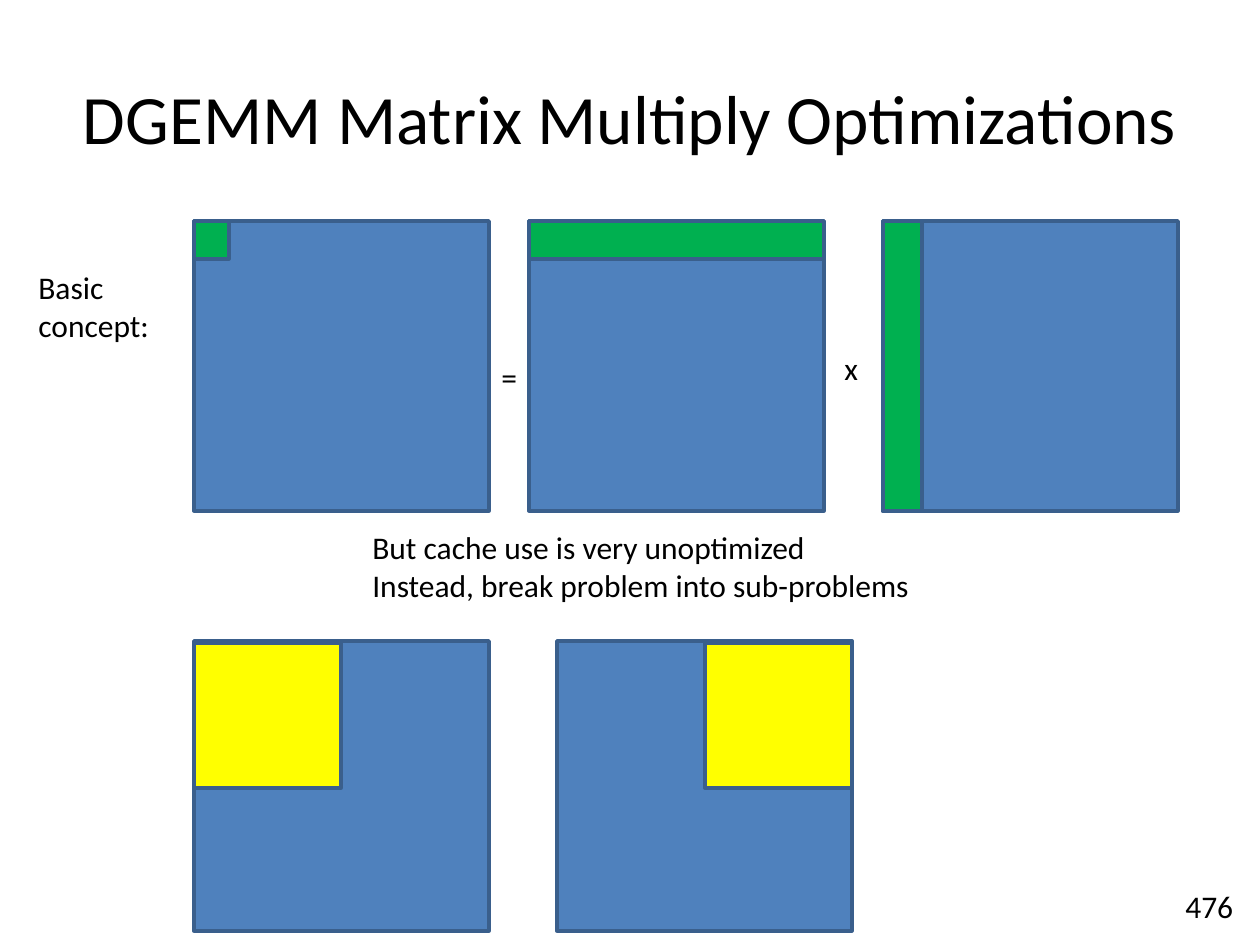
from pptx import Presentation
from pptx.dml.color import RGBColor
from pptx.enum.shapes import MSO_SHAPE
from pptx.enum.text import MSO_ANCHOR, MSO_AUTO_SIZE, PP_ALIGN
from pptx.util import Pt

EMU_PER_PX = 914400 / 126


def emu(px):
    return round(px * EMU_PER_PX)


def color(hex_string):
    return RGBColor.from_string(hex_string)


class MatrixSlide:
    """Holds the slide and the style shared by its elements."""

    FONT = "Calibri"
    INK = "000000"
    OUTLINE = "3A5F8C"
    MATRIX = "4F81BD"
    VECTOR = "00B050"
    BLOCK = "FFFF00"
    SIDE = (295, 290)

    def __init__(self, presentation):
        self.slide = presentation.slides.add_slide(presentation.slide_layouts[6])

    def rect(self, left, top, width, height, fill):
        shape = self.slide.shapes.add_shape(
            MSO_SHAPE.RECTANGLE, *map(emu, (left, top, width, height)))
        shape.shadow.inherit = False
        shape.fill.solid()
        shape.fill.fore_color.rgb = color(fill)
        shape.line.color.rgb = color(self.OUTLINE)
        shape.line.width = Pt(2)

    def matrix(self, left, top, part, part_fill, offset=(0, 0)):
        """Draw a full matrix with one highlighted part inside it."""
        self.rect(left, top, *self.SIDE, self.MATRIX)
        self.rect(left + offset[0], top + offset[1], *part, part_fill)

    def text(self, left, top, width, height, *lines, size=18, wrap=False,
             align=PP_ALIGN.LEFT, anchor=MSO_ANCHOR.TOP,
             fit=MSO_AUTO_SIZE.SHAPE_TO_FIT_TEXT):
        box = self.slide.shapes.add_textbox(*map(emu, (left, top, width, height)))
        frame = box.text_frame
        frame.word_wrap = wrap
        frame.auto_size = fit
        frame.vertical_anchor = anchor
        frame.text = "\n".join(lines)
        for paragraph in frame.paragraphs:
            paragraph.alignment = align
            paragraph.font.size = Pt(size)
            paragraph.font.name = self.FONT
            paragraph.font.color.rgb = color(self.INK)


def main():
    presentation = Presentation()
    presentation.slide_width = emu(1260)
    presentation.slide_height = emu(945)
    page = MatrixSlide(presentation)
    width, height = page.SIDE

    page.text(63, 38, 1134, 158, "DGEMM Matrix Multiply Optimizations",
              size=39.6, wrap=True, align=PP_ALIGN.CENTER,
              anchor=MSO_ANCHOR.MIDDLE, fit=MSO_AUTO_SIZE.NONE)

    # One result element = one row x one column
    for left, part in ((194, (35, 38)), (529, (width, 38)), (883, (39, height))):
        page.matrix(left, 221, part, page.VECTOR)
    page.text(489, 352, 42, 50, "=")
    page.text(832, 343, 39, 50, "x")
    page.text(26, 262, 146, 89, "Basic concept:", wrap=True)

    page.text(360, 522, 568, 89, "But cache use is very unoptimized",
              "Instead, break problem into sub-problems")

    # Sub-problems: quarter blocks in opposite top corners
    block = (width // 2, height // 2)
    for left, block_left in ((194, 0), (557, width - block[0])):
        page.matrix(left, 641, block, page.BLOCK, offset=(block_left, 2))

    page.text(1173, 881, 74, 50, "476")
    presentation.save("out.pptx")


if __name__ == "__main__":
    main()
